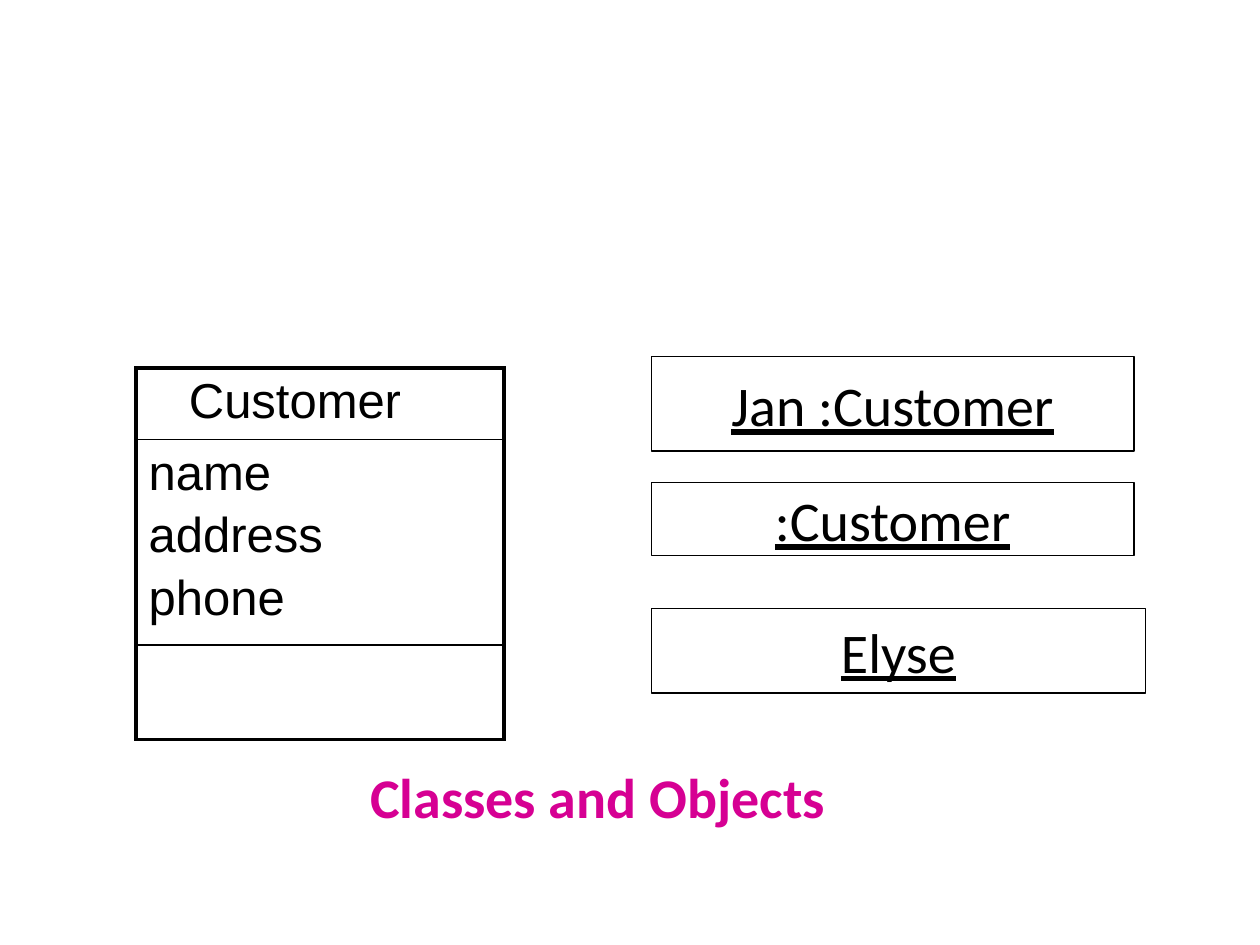
from dataclasses import dataclass

from lxml import etree
from pptx import Presentation
from pptx.dml.color import RGBColor
from pptx.enum.shapes import MSO_SHAPE
from pptx.enum.text import MSO_ANCHOR, MSO_AUTO_SIZE, PP_ALIGN
from pptx.oxml.ns import qn
from pptx.util import Inches, Pt

RECTANGLE = MSO_SHAPE.RECTANGLE
TOP, MIDDLE = MSO_ANCHOR.TOP, MSO_ANCHOR.MIDDLE
FIT_SHAPE = MSO_AUTO_SIZE.SHAPE_TO_FIT_TEXT
LEFT, CENTER = PP_ALIGN.LEFT, PP_ALIGN.CENTER
TITLE_ONLY = 5


@dataclass(frozen=True)
class Theme:
    """Colours, fonts, type sizes and line widths of the slide."""
    ink: str = "000000"
    accent: str = "D60093"
    class_font: str = "Arial"
    object_font: str = "Calibri"
    class_size: float = 28
    object_size: float = 32
    attribute_gap: float = 4.7
    box_line: float = 0.75
    outer_line: float = 2.25
    inner_line: float = 1


class ClassDiagram:
    """Draws the parts of a class and object diagram on one slide."""

    def __init__(self, slide, theme):
        self.slide = slide
        self.theme = theme

    def add_span(self, para, text, font, size, color, align=LEFT):
        """Add one styled run to a paragraph and return it."""
        para.alignment = align
        span = para.add_run()
        span.text = text
        span.font.name = font
        span.font.size = Pt(size)
        span.font.color.rgb = RGBColor.from_string(color)
        return span

    def title(self, text, left, top, width, height):
        """Place and fill the title placeholder."""
        box = self.slide.shapes.title
        box.left, box.top = Inches(left), Inches(top)
        box.width, box.height = Inches(width), Inches(height)
        frame = box.text_frame
        frame.word_wrap = True
        frame.auto_size = FIT_SHAPE
        frame.vertical_anchor = TOP
        span = self.add_span(frame.paragraphs[0], text, self.theme.object_font,
                             self.theme.object_size, self.theme.accent, CENTER)
        span.font.bold = True

    def object_box(self, text, left, top, width, height):
        """Draw an object as an outlined box with an underlined name."""
        box = self.slide.shapes.add_shape(
            RECTANGLE, Inches(left), Inches(top), Inches(width), Inches(height))
        box.shadow.inherit = False
        box.fill.background()
        box.line.color.rgb = RGBColor.from_string(self.theme.ink)
        box.line.width = Pt(self.theme.box_line)
        frame = box.text_frame
        frame.word_wrap = False
        frame.vertical_anchor = MIDDLE
        span = self.add_span(frame.paragraphs[0], text, self.theme.object_font,
                             self.theme.object_size, self.theme.ink, CENTER)
        span.font.underline = True

    def border(self, cell, side, width):
        """Give one side of a cell a solid line."""
        properties = cell._tc.get_or_add_tcPr()
        line = etree.SubElement(properties, qn(f"a:ln{side}"), w=str(Pt(width)))
        fill = etree.SubElement(line, qn("a:solidFill"))
        etree.SubElement(fill, qn("a:srgbClr"), val=self.theme.ink)

    def class_table(self, compartments, left, top, width, name_indent):
        """Draw a class as a table with one row per compartment."""
        theme = self.theme
        heights = [height for height, _ in compartments]
        table = self.slide.shapes.add_table(
            len(compartments), 1, Inches(left), Inches(top),
            Inches(width), Inches(sum(heights))).table
        table.first_row = table.horz_banding = False
        last = len(compartments) - 1
        for index, (height, lines) in enumerate(compartments):
            table.rows[index].height = Inches(height)
            cell = table.cell(index, 0)
            upper = theme.outer_line if index == 0 else theme.inner_line
            lower = theme.outer_line if index == last else theme.inner_line
            for side, line_width in zip("LRTB", (theme.outer_line, theme.outer_line, upper, lower)):
                self.border(cell, side, line_width)
            cell.fill.background()
            frame = cell.text_frame
            for number, text in enumerate(lines):
                para = frame.add_paragraph() if number else frame.paragraphs[0]
                para.space_before = Pt(theme.attribute_gap if number else 0)
                self.add_span(para, text, theme.class_font, theme.class_size, theme.ink)
        table.cell(0, 0).margin_left = Inches(name_indent)


def main():
    """Build the slide and save the deck."""
    deck = Presentation()
    deck.slide_width, deck.slide_height = Inches(10), Inches(7.5)
    page = deck.slides.add_slide(deck.slide_layouts[TITLE_ONLY])
    diagram = ClassDiagram(page, Theme())

    compartments = [
        (0.53, ["Customer"]),
        (1.56, ["name", "address", "phone"]),
        (0.75, []),
    ]
    diagram.class_table(compartments, 1.08, 2.92, 2.92, name_indent=0.42)
    diagram.title("Classes and Objects", 2.08, 6, 5.33, 0.63)

    objects = [
        ("Jan :Customer", 3.83, 0.75),
        (":Customer", 3.83, 0.58),
        ("Elyse", 3.92, 0.67),
    ]
    for index, (name, width, height) in enumerate(objects):
        diagram.object_box(name, 5.17, 2.83 + index, width, height)

    deck.save("out.pptx")


if __name__ == "__main__":
    main()
